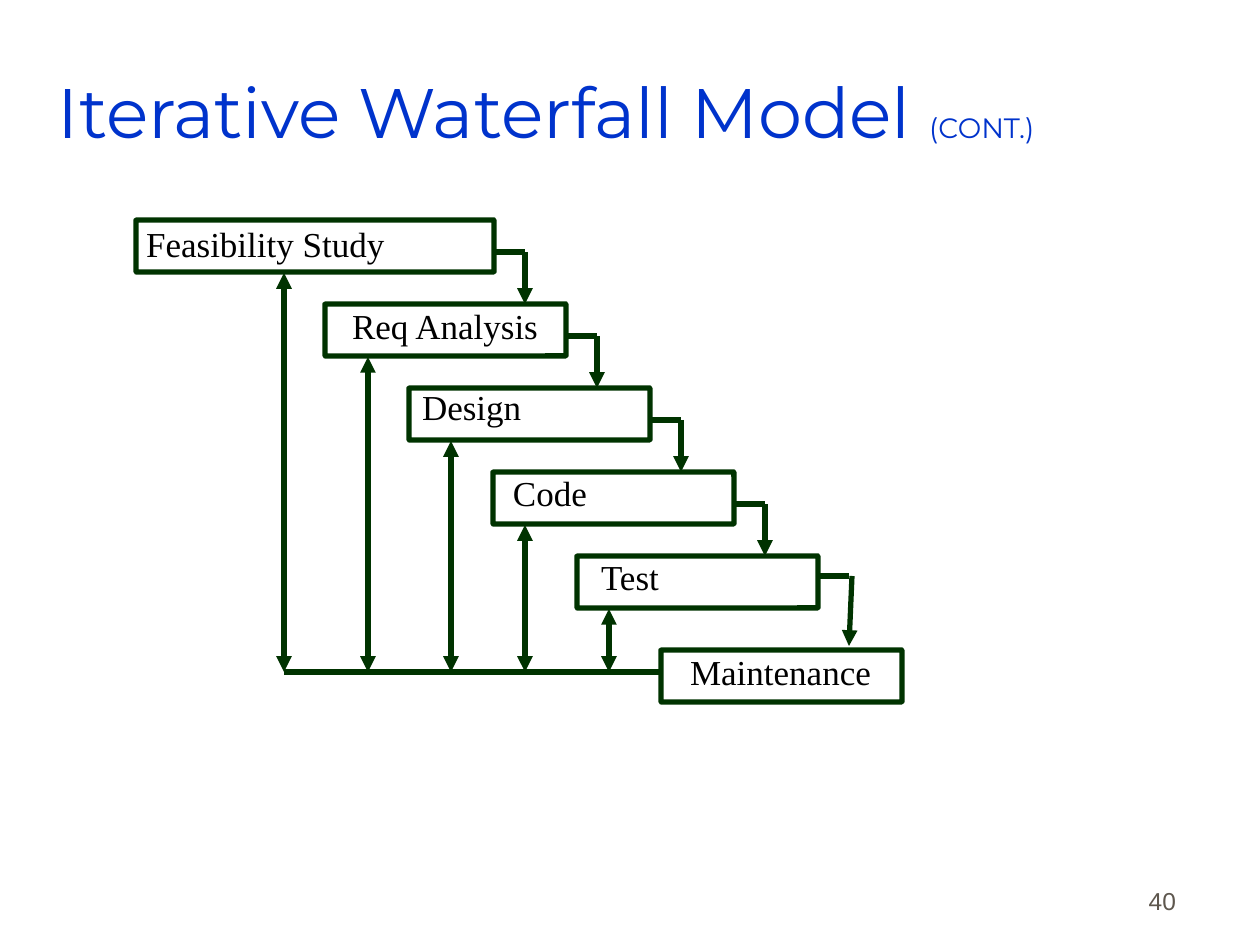
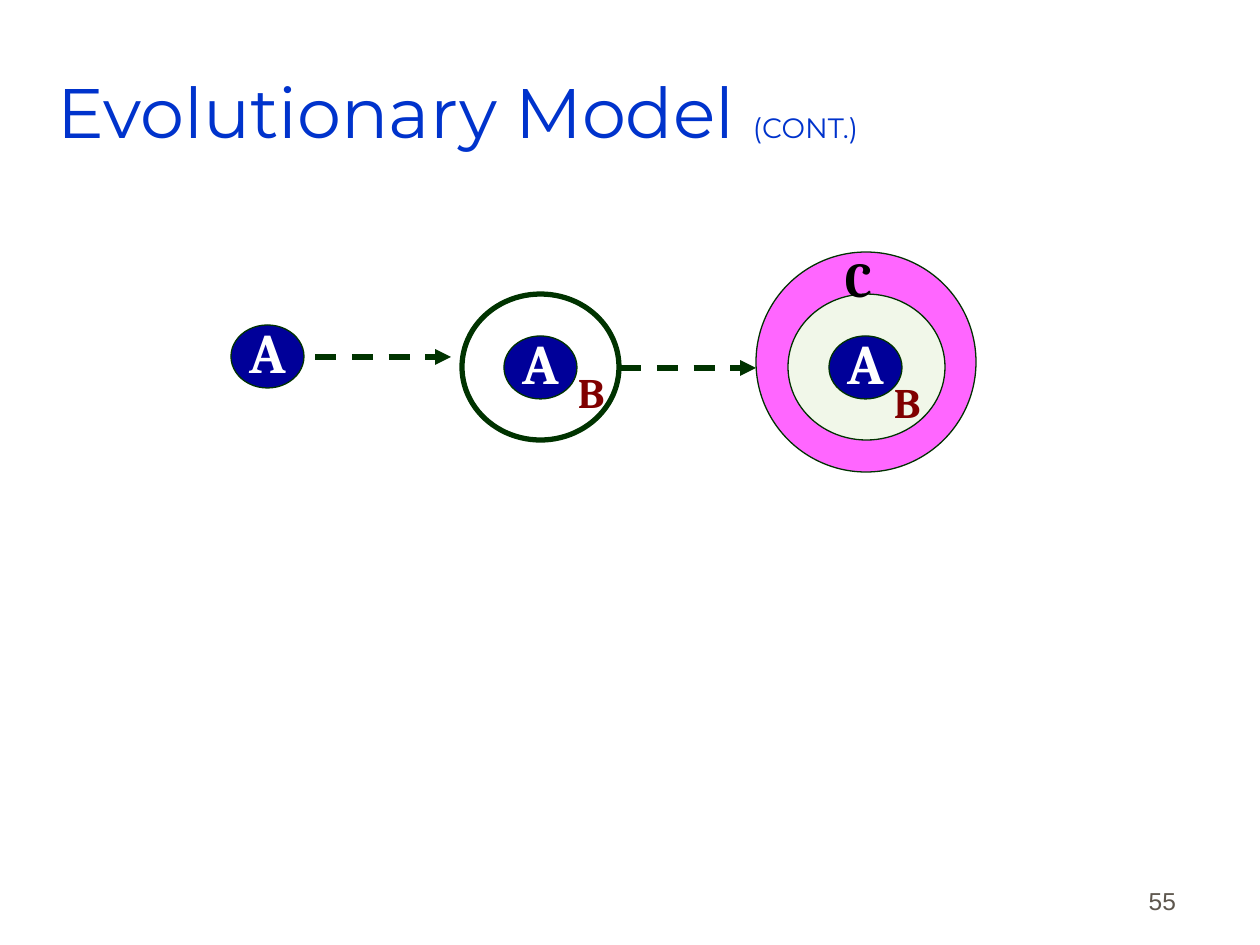
from dataclasses import dataclass

from lxml.etree import SubElement
from pptx import Presentation
from pptx.dml.color import RGBColor
from pptx.enum.dml import MSO_LINE_DASH_STYLE as Dash
from pptx.enum.shapes import MSO_CONNECTOR_TYPE as Connector
from pptx.enum.shapes import MSO_SHAPE as Preset
from pptx.enum.text import MSO_VERTICAL_ANCHOR as Anchor
from pptx.enum.text import PP_PARAGRAPH_ALIGNMENT as Align
from pptx.oxml.ns import qn
from pptx.slide import Slide
from pptx.util import Emu, Pt

EMU_PER_PX = 914400 / 126
PAGE_WIDTH, PAGE_HEIGHT = 1260, 945
BLANK_LAYOUT = 6
PADDING = (3, 6, 3, 6)
THICK, THIN = 3, 0.75
TIGHT = 0.85

COLORS = {
    "title": "0033CC",
    "number": "5E574E",
    "line": "003300",
    "text": "000000",
    "core": "000099",
    "core_text": "FFFFFF",
    "inner": "F1F7E9",
    "outer": "FF66FF",
    "second_letter": "800000",
}


@dataclass(frozen=True)
class Area:
    left: int
    top: int
    width: int
    height: int

    @property
    def right(self) -> int:
        return self.left + self.width

    @property
    def bottom(self) -> int:
        return self.top + self.height


@dataclass(frozen=True)
class TextStyle:
    font: str
    size: int
    color: str
    bold: bool = False
    align: Align = Align.LEFT
    anchor: Anchor = Anchor.TOP
    spacing: float = 1.0


@dataclass(frozen=True)
class Stage:
    name: str
    area: Area
    pad_left: int
    pad_top: int


@dataclass(frozen=True)
class Oval:
    area: Area
    fill: str = ""
    weight: float = THIN
    letter: str = ""


@dataclass(frozen=True)
class Letter:
    text: str
    area: Area
    style: TextStyle


TITLE = TextStyle("Montserrat", 40, "title", anchor=Anchor.MIDDLE)
TITLE_NOTE = TextStyle("Montserrat", 16, "title")
NUMBER = TextStyle("Arial", 14, "number", align=Align.RIGHT, anchor=Anchor.BOTTOM)
STAGE_TEXT = TextStyle("Times New Roman", 20, "text", spacing=TIGHT)
CORE_TEXT = TextStyle("Cambria", 32, "core_text", True, Align.CENTER, Anchor.MIDDLE, TIGHT)
SECOND_TEXT = TextStyle("Cambria", 24, "second_letter", True, spacing=TIGHT)
THIRD_TEXT = TextStyle("Cambria", 28, "text", True, spacing=TIGHT)

TITLE_AREA = Area(55, 32, 1071, 158)
NUMBER_AREA = Area(927, 858, 262, 63)

STEP = 84
STAGE_HEIGHT = 52
STAGE_WIDTH = 241
FIRST_STAGE = Area(136, 220, 358, STAGE_HEIGHT)
LAST_STAGE = Area(661, 650, STAGE_WIDTH, STAGE_HEIGHT)


def step_area(index: int) -> Area:
    return Area(241 + STEP * index, 220 + STEP * index, STAGE_WIDTH, STAGE_HEIGHT)


STAGES = [
    Stage("Feasibility Study", FIRST_STAGE, 10, 9),
    Stage("Req Analysis", step_area(1), 27, 7),
    Stage("Design", step_area(2), 13, 4),
    Stage("Code", step_area(3), 20, 6),
    Stage("Test", step_area(4), 24, 6),
    Stage("Maintenance", LAST_STAGE, 29, 7),
]
ELBOW = 31
EXIT_DROP = 32
FEEDBACK_XS = [284, 368, 451, 525, 609]
FEEDBACK_Y = 672


def core(left: int, top: int) -> Oval:
    return Oval(Area(left, top, 73, 63), "core", letter="A")


OVALS = [
    Oval(Area(756, 252, 220, 220), "outer"),
    Oval(Area(788, 294, 157, 146), "inner"),
    Oval(Area(462, 294, 157, 146), weight=THICK),
    core(231, 325),
    core(504, 336),
    core(829, 336),
]
LETTERS = [
    Letter("B", Area(575, 368, 52, 63), SECOND_TEXT),
    Letter("B", Area(891, 378, 52, 63), SECOND_TEXT),
    Letter("C", Area(842, 252, 52, 72), THIRD_TEXT),
]
GROWTH_ARROWS = [(315, 451, 357), (620, 756, 368)]


def px(length: int) -> Emu:
    return Emu(round(length * EMU_PER_PX))


def place(area: Area) -> tuple[Emu, Emu, Emu, Emu]:
    return px(area.left), px(area.top), px(area.width), px(area.height)


def color(name: str) -> RGBColor:
    return RGBColor.from_string(COLORS[name])


def format_span(span, style: TextStyle) -> None:
    span.font.name = style.font
    span.font.size = Pt(style.size)
    span.font.bold = style.bold
    span.font.color.rgb = color(style.color)


def write(shape, text: str, style: TextStyle, padding: tuple = PADDING):
    frame = shape.text_frame
    frame.text = text
    frame.word_wrap = True
    frame.vertical_anchor = style.anchor
    frame.margin_left, frame.margin_top, frame.margin_right, frame.margin_bottom = map(px, padding)
    para = frame.paragraphs[0]
    para.alignment = style.align
    para.line_spacing = style.spacing
    format_span(para.runs[0], style)
    return para


def add_text(page: Slide, text: str, area: Area, style: TextStyle, padding: tuple = PADDING):
    return write(page.shapes.add_textbox(*place(area)), text, style, padding)


def add_outline(page: Slide, preset: Preset, area: Area, weight: float, fill: str = ""):
    shape = page.shapes.add_shape(preset, *place(area))
    shape.shadow.inherit = False
    shape.line.color.rgb = color("line")
    shape.line.width = Pt(weight)
    if fill:
        shape.fill.solid()
        shape.fill.fore_color.rgb = color(fill)
    else:
        shape.fill.background()
    return shape


def add_line(page: Slide, start: tuple[int, int], end: tuple[int, int],
             arrows: tuple[str, ...] = (), dashed: bool = False) -> None:
    line = page.shapes.add_connector(Connector.STRAIGHT, *map(px, start + end))
    line.line.color.rgb = color("line")
    line.line.width = Pt(THICK)
    if dashed:
        line.line.dash_style = Dash.DASH
    properties = line.line._get_or_add_ln()
    for arrow in arrows:
        SubElement(properties, qn(f"a:{arrow}"), type="triangle")
    SubElement(line._element.spPr, qn("a:effectLst"))


def add_page(deck, title: str, number: int) -> Slide:
    page = deck.slides.add_slide(deck.slide_layouts[BLANK_LAYOUT])
    para = add_text(page, f"{title} ", TITLE_AREA, TITLE)
    note = para.add_run()
    note.text = "(CONT.)"
    format_span(note, TITLE_NOTE)
    add_text(page, str(number), NUMBER_AREA, NUMBER, (13, 6, 13, 6))
    return page


def build_waterfall(deck) -> None:
    page = add_page(deck, "Iterative Waterfall Model", 40)
    for stage in STAGES:
        box = add_outline(page, Preset.ROUNDED_RECTANGLE, stage.area, THICK)
        box.adjustments[0] = 0.004
        write(box, stage.name, STAGE_TEXT, (stage.pad_left, stage.pad_top, 0, 0))
    for stage, following in zip(STAGES, STAGES[1:]):
        last = following is STAGES[-1]
        right = stage.area.right
        turn = right + ELBOW
        exit_y = stage.area.top + (20 if last else EXIT_DROP)
        drop_x = turn + 3 if last else turn
        drop_end = following.area.top - (4 if last else 0)
        add_line(page, (right, exit_y), (turn, exit_y))
        add_line(page, (drop_x, exit_y), (turn, drop_end), ("tailEnd",))
    add_line(page, (LAST_STAGE.left, FEEDBACK_Y), (FEEDBACK_XS[0], FEEDBACK_Y))
    for stage, x in zip(STAGES, FEEDBACK_XS):
        add_line(page, (x, FEEDBACK_Y), (x, stage.area.bottom + 1), ("headEnd", "tailEnd"))


def build_evolution(deck) -> None:
    page = add_page(deck, "Evolutionary Model", 55)
    for oval in OVALS:
        shape = add_outline(page, Preset.OVAL, oval.area, oval.weight, oval.fill)
        if oval.letter:
            write(shape, oval.letter, CORE_TEXT)
    for start, end, y in GROWTH_ARROWS:
        add_line(page, (start, y), (end, y), ("tailEnd",), dashed=True)
    for letter in LETTERS:
        add_text(page, letter.text, letter.area, letter.style)


def main() -> None:
    deck = Presentation()
    deck.slide_width, deck.slide_height = px(PAGE_WIDTH), px(PAGE_HEIGHT)
    build_waterfall(deck)
    build_evolution(deck)
    deck.save("out.pptx")


if __name__ == "__main__":
    main()
